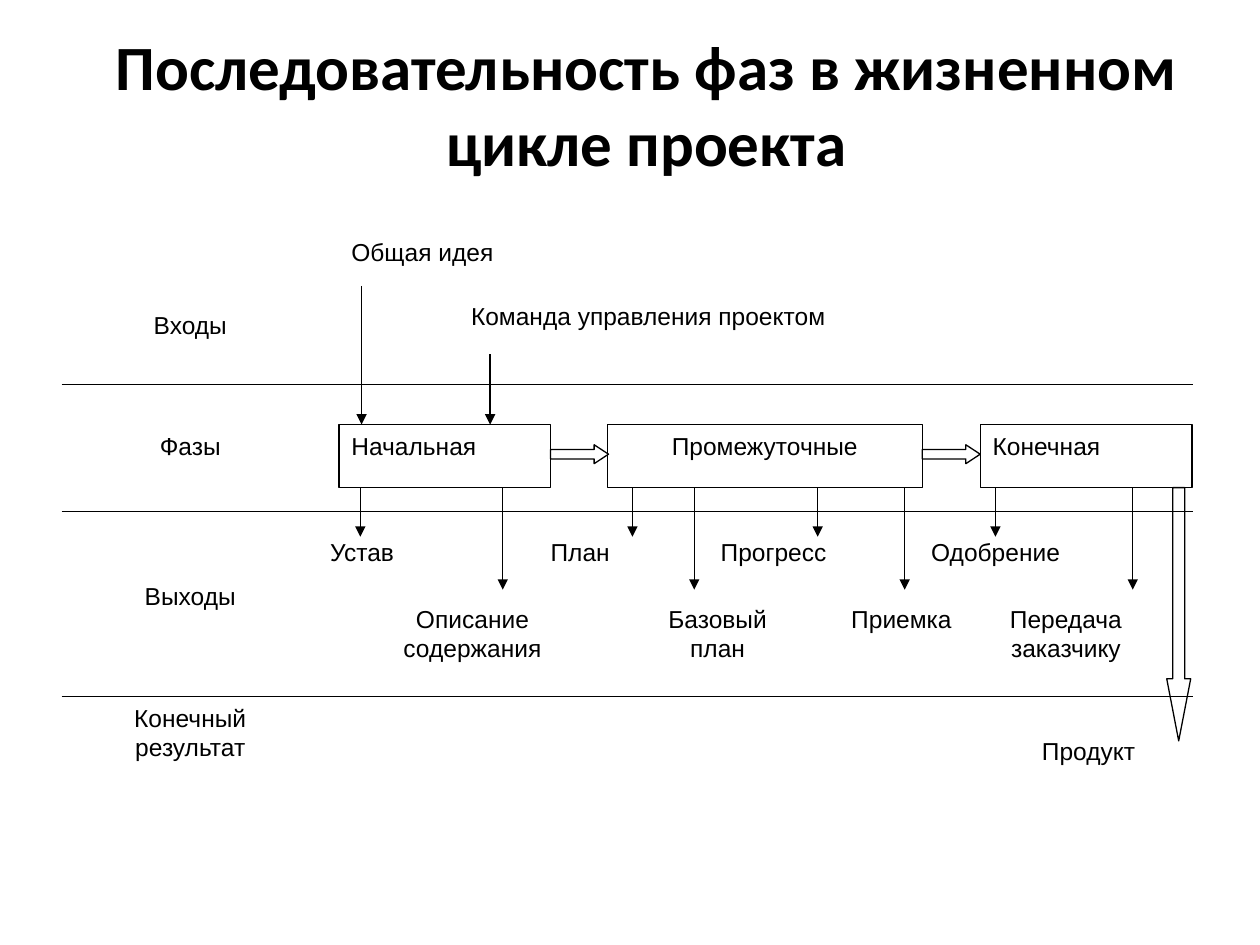
from dataclasses import dataclass

import pptx
import pptx.dml.color
import pptx.enum.shapes
import pptx.enum.text
import pptx.oxml.ns
import pptx.util
from lxml import etree

Inches = pptx.util.Inches
Pt = pptx.util.Pt
MSO_SHAPE = pptx.enum.shapes.MSO_SHAPE
ALIGN = pptx.enum.text.PP_ALIGN
qn = pptx.oxml.ns.qn

COLORS = {"ink": "000000", "paper": "FFFFFF"}
LINE_WIDTH = 0.75
PHASE_TOP, PHASE_HEIGHT = 3.37, 0.5
PHASE_BOTTOM = PHASE_TOP + PHASE_HEIGHT
NEAR_END, FAR_END = 4.26, 4.68
FAR_LABEL_TOP = 4.79


@dataclass
class Label:
    """A text block on white; lines of text become paragraphs."""
    text: str
    x: float
    y: float
    w: float
    h: float
    center: bool = False
    inset: bool = False
    border: bool = False


@dataclass
class Arrow:
    """A vertical arrow."""
    x: float
    top: float
    bottom: float


def rgb(name: str) -> pptx.dml.color.RGBColor:
    """Return a palette colour."""
    return pptx.dml.color.RGBColor.from_string(COLORS[name])


def write(tf, text: str, font: str = "Arial", size: float = 14,
          bold: bool = False, center: bool = False, inset: bool = True) -> None:
    """Fill a text frame, one paragraph per line of text."""
    tf.word_wrap = True
    tf.vertical_anchor = pptx.enum.text.MSO_ANCHOR.TOP
    if not inset:
        tf.margin_left = tf.margin_right = tf.margin_top = tf.margin_bottom = 0
    for i, line in enumerate(text.split("\n")):
        p = tf.paragraphs[0] if i == 0 else tf.add_paragraph()
        p.alignment = ALIGN.CENTER if center else ALIGN.LEFT
        r = p.add_run()
        r.text = line
        r.font.name, r.font.size, r.font.bold = font, Pt(size), bold
        r.font.color.rgb = rgb("ink")


def add_block(s, kind, x: float, y: float, w: float, h: float,
              filled: bool = True, border: bool = True):
    """Add a preset shape with a white or empty interior."""
    sp = s.shapes.add_shape(kind, Inches(x), Inches(y), Inches(w), Inches(h))
    sp.shadow.inherit = False
    if filled:
        sp.fill.solid()
        sp.fill.fore_color.rgb = rgb("paper")
    else:
        sp.fill.background()
    if border:
        sp.line.color.rgb = rgb("ink")
        sp.line.width = Pt(LINE_WIDTH)
    else:
        sp.line.fill.background()
    return sp


def add_label(s, label: Label) -> None:
    """Draw a label or a phase box."""
    sp = add_block(s, MSO_SHAPE.RECTANGLE, label.x, label.y, label.w, label.h,
                   border=label.border)
    write(sp.text_frame, label.text, center=label.center, inset=label.inset)


def add_line(s, x1: float, y1: float, x2: float, y2: float,
             arrow: bool = False) -> None:
    """Draw a thin straight line, with an arrowhead at its end if asked."""
    cn = s.shapes.add_connector(pptx.enum.shapes.MSO_CONNECTOR.STRAIGHT,
                                Inches(x1), Inches(y1), Inches(x2), Inches(y2))
    cn.line.color.rgb = rgb("ink")
    cn.line.width = Pt(LINE_WIDTH)
    if arrow:
        etree.SubElement(cn.line._get_or_add_ln(), qn("a:tailEnd"), type="triangle")
    etree.SubElement(cn._element.spPr, qn("a:effectLst"))


def add_block_arrow(s, kind, x: float, y: float, w: float, h: float,
                    head: float, filled: bool = True) -> None:
    """Draw a block arrow with the given head proportion."""
    sp = add_block(s, kind, x, y, w, h, filled=filled)
    sp.adjustments[0], sp.adjustments[1] = 0.5, head


def phase(text: str, x: float, w: float, center: bool = False) -> Label:
    """Return a bordered box of the phase row."""
    return Label(text, x, PHASE_TOP, w, PHASE_HEIGHT, center, inset=True, border=True)


def row_name(text: str, y: float, h: float = 0.51, inset: bool = True) -> Label:
    """Return a row heading of the left column."""
    return Label(text, 0.67, y, 1.68, h, center=True, inset=inset)


def near_output(text: str, x: float, w: float) -> Label:
    """Return an output label of the upper row."""
    return Label(text, x, NEAR_END, w, 0.42)


def far_output(text: str, x: float, w: float, h: float = 0.69) -> Label:
    """Return an output label of the lower row."""
    return Label(text, x, FAR_LABEL_TOP, w, h, center=True)


LABELS = [
    phase("Начальная", 2.69, 1.68),
    phase("Промежуточные", 4.82, 2.5, center=True),
    phase("Конечная", 7.78, 1.68),
    Label("Общая идея", 2.69, 1.83, 1.82, 0.51, inset=True),
    Label("Команда управления проектом", 3.64, 2.34, 4.18, 0.51, inset=True),
    row_name("Входы", 2.41),
    row_name("Фазы", PHASE_TOP),
    row_name("Выходы", 4.56),
    row_name("Конечный\nрезультат", 5.58, 0.77, inset=False),
    near_output("Устав", 2.62, 0.91),
    near_output("План", 4.37, 0.91),
    near_output("Прогресс", 5.72, 1.16),
    near_output("Одобрение", 7.39, 1.38),
    far_output("Описание содержания", 2.76, 1.98),
    far_output("Базовый\nплан", 5.02, 1.35),
    far_output("Приемка", 6.48, 1.35, 0.4),
    far_output("Передача\nзаказчику", 7.74, 1.44),
    Label("Продукт", 8.27, 5.84, 1.2, 0.42),
]
ARROWS = [Arrow(2.87, 2.27, PHASE_TOP), Arrow(3.89, 2.81, PHASE_TOP)]
ARROWS += [Arrow(x, PHASE_BOTTOM, NEAR_END) for x in (2.86, 5.02, 6.49, 7.9)]
ARROWS += [Arrow(x, PHASE_BOTTOM, FAR_END) for x in (3.99, 5.51, 7.18, 8.99)]

prs = pptx.Presentation()
prs.slide_width, prs.slide_height = Inches(10), Inches(7.5)
s = prs.slides.add_slide(prs.slide_layouts[6])

for label in LABELS:
    add_label(s, label)
for arrow in ARROWS:
    add_line(s, arrow.x, arrow.top, arrow.x, arrow.bottom, arrow=True)
for y in (3.05, 4.06, 5.53):
    add_line(s, 0.49, y, 9.47, y)
for x in (4.37, 7.32):
    add_block_arrow(s, MSO_SHAPE.RIGHT_ARROW, x, 3.53, 0.46, 0.15, head=0.76)
add_block_arrow(s, MSO_SHAPE.DOWN_ARROW, 9.26, PHASE_BOTTOM, 0.19, 2.01,
                head=2.59, filled=False)

title = s.shapes.add_textbox(Inches(0.69), Inches(0.17), Inches(8.88), Inches(1.31))
write(title.text_frame, "Последовательность фаз в жизненном цикле проекта",
      font="Calibri", size=36, bold=True, center=True)

prs.save("out.pptx")
